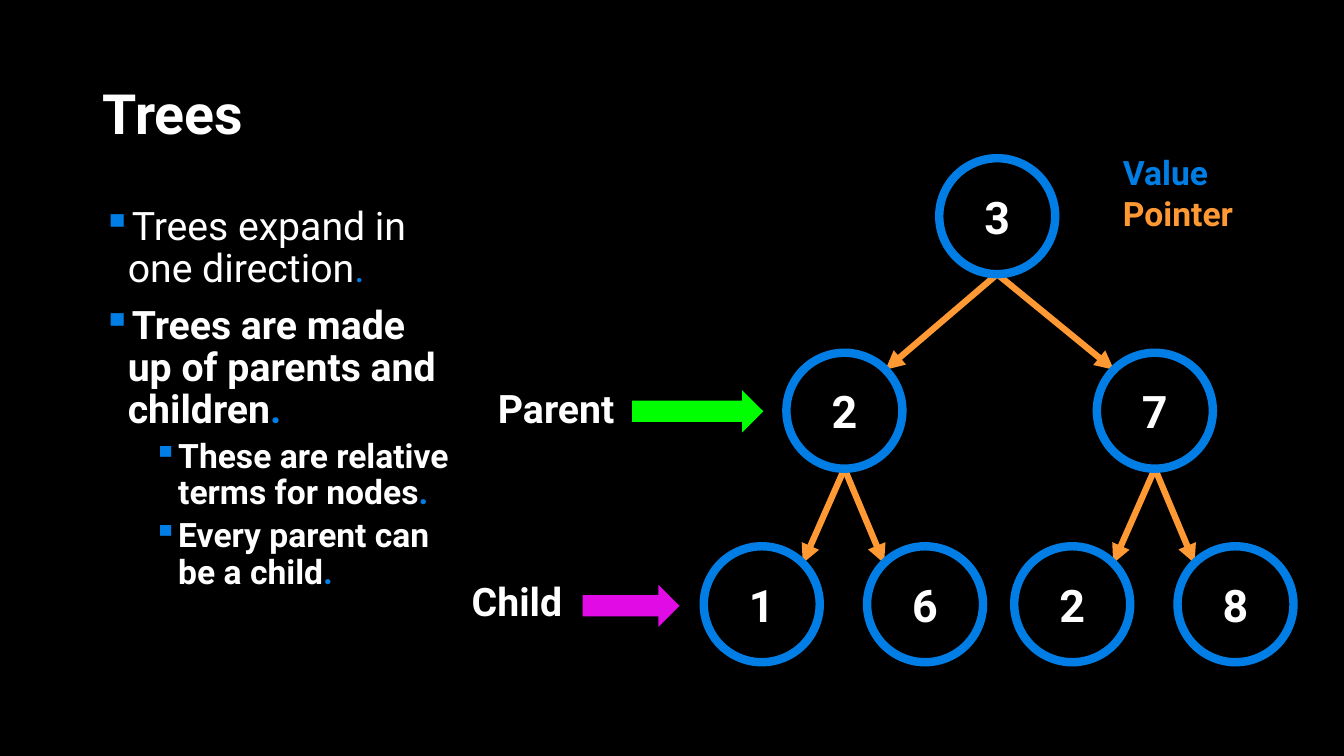
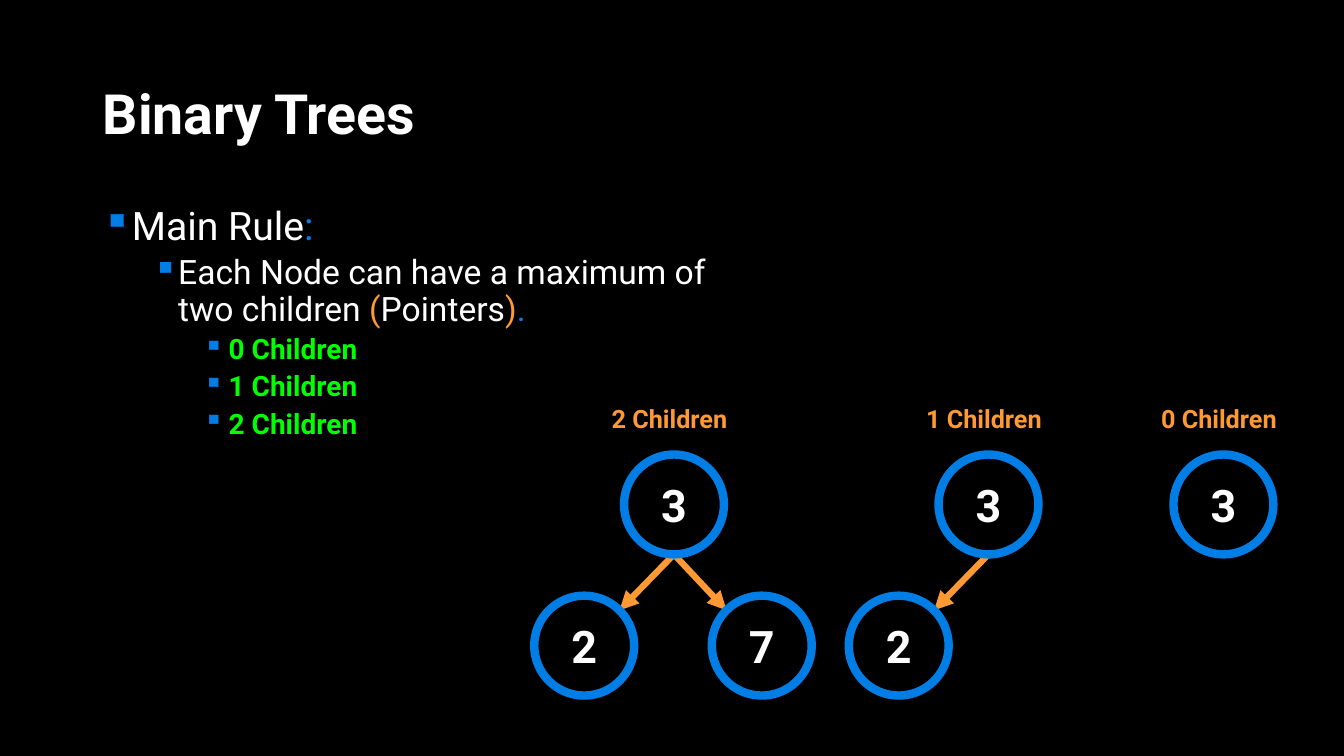
from math import sqrt

from lxml.etree import SubElement
from pptx import Presentation
from pptx.dml.color import RGBColor
from pptx.enum.shapes import MSO_CONNECTOR, MSO_SHAPE
from pptx.enum.text import MSO_ANCHOR, PP_ALIGN
from pptx.oxml.ns import qn
from pptx.util import Inches, Pt

BLACK, WHITE, BLUE = "000000", "FFFFFF", "007EE5"
ORANGE, GREEN, MAGENTA = "FF9933", "00FF00", "E00BE5"
FONT = "Roboto"
rgb = RGBColor.from_string

prs = Presentation()
prs.slide_width, prs.slide_height = Inches(13.33), Inches(7.5)
# Grid: 100 columns by 100 rows
COL, ROW = prs.slide_width / 100, prs.slide_height / 100


def place(s, x, y, w, h, shape=None, fill=None, line=None):
    """Add a text box, or a preset shape, at grid columns and rows."""
    box = [int(v) for v in (x * COL, y * ROW, w * COL, h * ROW)]
    if shape is None:
        sp = s.shapes.add_textbox(*box)
    else:
        sp = s.shapes.add_shape(shape, *box)
        sp.shadow.inherit = False
        sp.fill.background()
        sp.line.fill.background()
    if fill:
        sp.fill.solid()
        sp.fill.fore_color.rgb = rgb(fill)
    if line:
        sp.line.color.rgb = rgb(line)
        sp.line.width = Pt(6)
    sp.text_frame.word_wrap = True
    return sp


def write(tf, text, size=28, color=WHITE, bold=True, align=PP_ALIGN.LEFT,
          level=None, spacing=None):
    """Add a paragraph; text is a string or a list of (text, colour) runs."""
    p = tf.paragraphs[0]
    if p.runs:
        p = tf.add_paragraph()
    p.alignment = align
    p.line_spacing = spacing
    for part, part_color in [(text, color)] if isinstance(text, str) else text:
        r = p.add_run()
        r.text = part
        r.font.name, r.font.size, r.font.bold = FONT, Pt(size), bold
        r.font.color.rgb = rgb(part_color)
    if level is not None:
        p.level = level
        p.space_before = Pt(5 if level else 10)
        pPr = p._p.get_or_add_pPr()
        pPr.set("marL", str(Inches(0.25 + 0.5 * level)))
        pPr.set("indent", str(-Inches(0.25)))
        SubElement(SubElement(pPr, qn("a:buClr")), qn("a:srgbClr"), val=BLUE)
        SubElement(pPr, qn("a:buChar"), char="▪")


# Nodes are (value, centre column, centre row); links are (parent, child)
DOT = (".", BLUE)
slides = [
    dict(
        title="Trees",
        body_width=27.23,
        bullets=[
            (0, False, [("Trees expand in one direction", WHITE), DOT]),
            (0, True, [("Trees are made up of parents and children", WHITE), DOT]),
            (1, True, [("These are relative terms for nodes", WHITE), DOT]),
            (1, True, [("Every parent can be a child", WHITE), DOT]),
        ],
        diameter=8.63,
        nodes=[("3", 74.2, 28.6), ("2", 62.83, 54.33), ("7", 85.93, 54.33),
               ("1", 56.68, 79.93), ("6", 68.83, 79.93),
               ("2", 79.78, 79.93), ("8", 91.93, 79.93)],
        links=[(0, 1), (0, 2), (1, 3), (1, 4), (2, 5), (2, 6)],
        labels=[
            (82.82, 19.47, 10.2, 24, [("Value", BLUE), ("Pointer", ORANGE)]),
            (36.31, 50.13, 10.6, 28, [("Parent", WHITE)]),
            (34.36, 75.73, 8.7, 28, [("Child", WHITE)]),
        ],
        arrows=[(47.04, 51.6, 9.75, GREEN), (43.36, 77.33, 7.2, MAGENTA)],
    ),
    dict(
        title="Binary Trees",
        body_width=49.89,
        bullets=[
            (0, False, [("Main Rule", WHITE), (":", BLUE)]),
            (1, False, [("Each Node can have a maximum of two children ", WHITE),
                        ("(", ORANGE), ("Pointers", WHITE), (")", ORANGE), DOT]),
        ] + [(2, True, [(f"{n} Children", GREEN)]) for n in range(3)],
        diameter=7.43,
        nodes=[("3", 50.15, 66.73), ("2", 43.47, 85.4), ("7", 56.68, 85.4),
               ("3", 73.55, 66.73), ("2", 66.87, 85.4), ("3", 91.03, 66.73)],
        links=[(0, 1), (0, 2), (3, 4)],
        labels=[(x - 5.38, 52.67, 10.7, 18, [(f"{n} Children", ORANGE)])
                for n, x in ((2, 50.15), (1, 73.55), (0, 91.03))],
        arrows=[],
    ),
]

for content in slides:
    s = prs.slides.add_slide(prs.slide_layouts[6])
    s.background.fill.solid()
    s.background.fill.fore_color.rgb = rgb(BLACK)

    # Title and bullets
    tf = place(s, 6.9, 10.67, 86.27, 9.6).text_frame
    tf.vertical_anchor = MSO_ANCHOR.MIDDLE
    write(tf, content["title"], size=39.6, spacing=0.9)
    tf = place(s, 6.9, 26.67, content["body_width"], 70.53).text_frame
    for level, bold, runs in content["bullets"]:
        write(tf, runs, size=28 - 4 * level, bold=bold, level=level, spacing=0.9)

    # Pointers: from the foot of the parent to the child's upper shoulder
    w = content["diameter"]
    h = w * COL / ROW
    for parent, child in content["links"]:
        _, px, py = content["nodes"][parent]
        _, cx, cy = content["nodes"][child]
        side = 1 if cx < px else -1
        cx += side * w / 2 / sqrt(2)
        cy -= h / 2 / sqrt(2)
        line = s.shapes.add_connector(
            MSO_CONNECTOR.STRAIGHT, int(px * COL), int((py + h / 2) * ROW),
            int(cx * COL), int(cy * ROW))
        line.line.color.rgb = rgb(ORANGE)
        line.line.width = Pt(4.5)
        SubElement(line.line._get_or_add_ln(), qn("a:tailEnd"), type="triangle")
        SubElement(line._element.spPr, qn("a:effectLst"))

    # Nodes
    for value, x, y in content["nodes"]:
        sp = place(s, x - w / 2, y - h / 2, w, h, MSO_SHAPE.OVAL, line=BLUE)
        tf = sp.text_frame
        tf.vertical_anchor = MSO_ANCHOR.MIDDLE
        write(tf, value, size=32, align=PP_ALIGN.CENTER)

    # Labels and block arrows
    for x, y, width, size, lines in content["labels"]:
        tf = place(s, x, y, width, 7.6 * len(lines)).text_frame
        for text, color in lines:
            write(tf, text, size=size, color=color)
    for x, y, width, color in content["arrows"]:
        place(s, x, y, width, 5.6, MSO_SHAPE.RIGHT_ARROW, fill=color)

prs.save("out.pptx")
